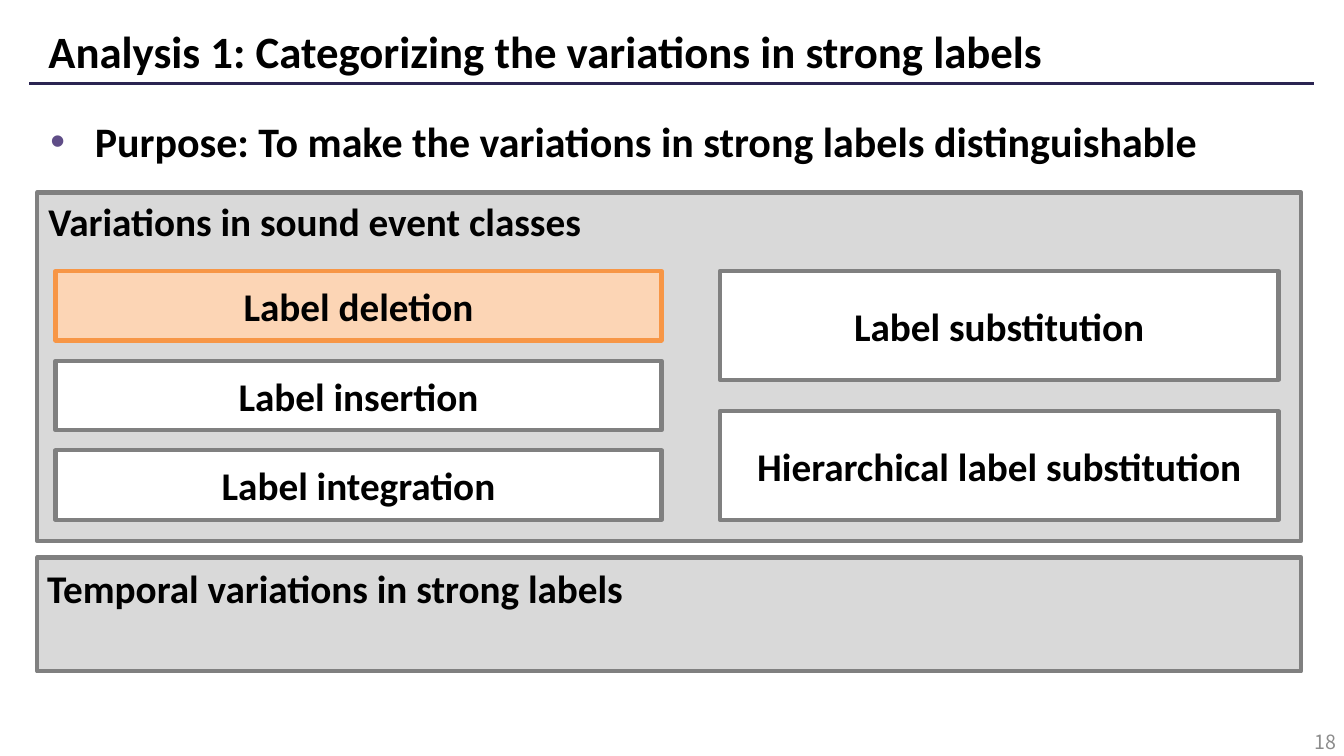
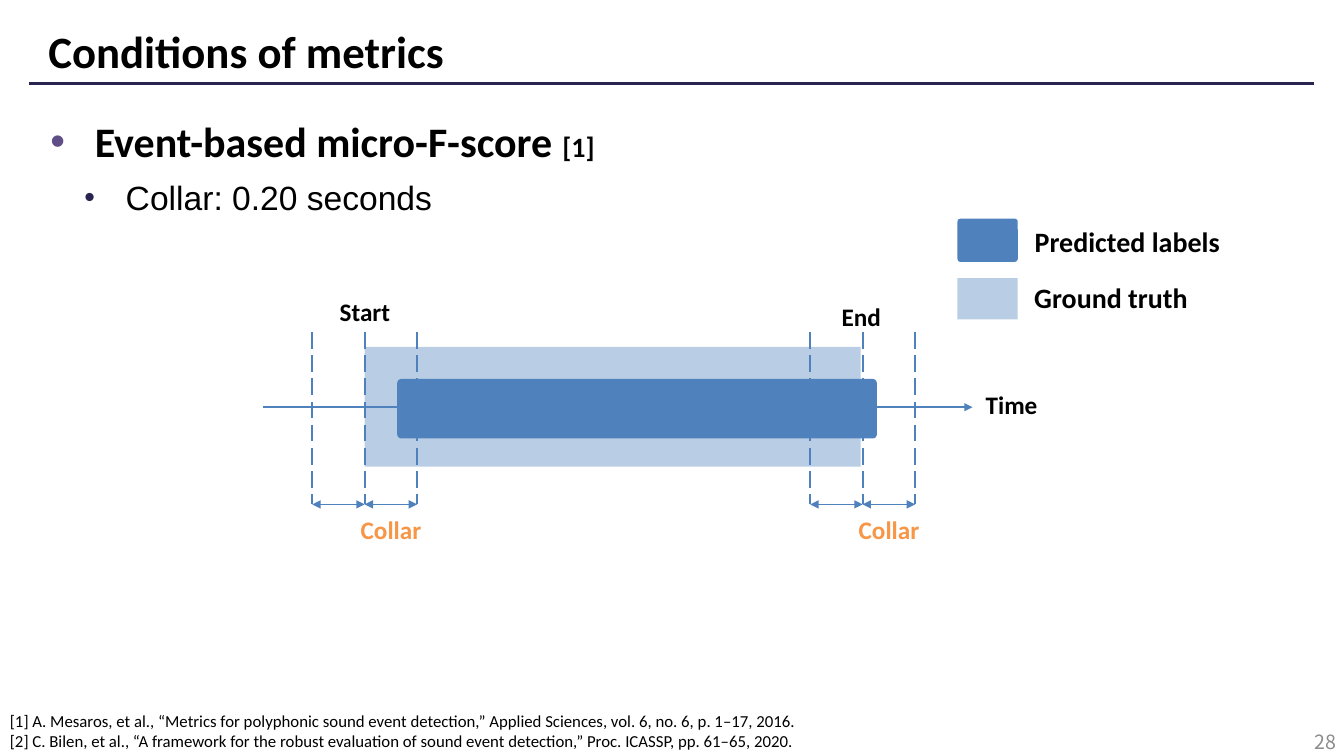
from dataclasses import dataclass
from typing import Optional

import pptx
import pptx.dml.color
import pptx.enum.dml
import pptx.enum.shapes
import pptx.enum.text
import pptx.oxml.ns
import pptx.util
from lxml import etree

Cm, Pt = pptx.util.Cm, pptx.util.Pt
MSO = pptx.enum.shapes.MSO_SHAPE
ALIGN = pptx.enum.text.PP_ALIGN
ANCHOR = pptx.enum.text.MSO_ANCHOR
qn = pptx.oxml.ns.qn

COLORS = {
    "black": "000000", "white": "FFFFFF", "rule": "2A2451", "number": "8C8C8C",
    "panel": "D9D9D9", "border": "808080", "peach": "FCD5B5", "orange": "F79646",
    "predicted": "4F81BD", "truth": "B9CDE5", "bullet": "5F4D87", "sub_bullet": "28244F",
}
FONT = "Calibri"
TITLE_INSETS = (0.25, 0.51, 0.25, 0)
TITLE_ONLY = 5


@dataclass
class Box:
    x: float
    y: float
    w: float
    h: float


@dataclass
class Run:
    text: str
    size: float
    bold: bool = True
    color: str = "black"
    font: str = FONT


@dataclass
class Bullet:
    margin: float
    hang: float
    color: str
    percent: int = 100


@dataclass
class Para:
    runs: list[Run]
    align: ALIGN = ALIGN.LEFT
    spacing: Optional[float] = None
    before: float = 0
    bullet: Optional[Bullet] = None


def rgb(name: str) -> pptx.dml.color.RGBColor:
    return pptx.dml.color.RGBColor.from_string(COLORS[name])


# Text
def add_bullet(p, bullet: Bullet) -> None:
    pPr = p._p.get_or_add_pPr()
    pPr.set("marL", str(Cm(bullet.margin)))
    pPr.set("indent", str(-Cm(bullet.hang)))
    clr = etree.SubElement(pPr, qn("a:buClr"))
    etree.SubElement(clr, qn("a:srgbClr"), val=COLORS[bullet.color])
    etree.SubElement(pPr, qn("a:buSzPct"), val=str(bullet.percent * 1000))
    etree.SubElement(pPr, qn("a:buFont"), typeface="Arial")
    etree.SubElement(pPr, qn("a:buChar"), char="•")


def write(tf, paras: list[Para], anchor=ANCHOR.TOP, wrap: bool = True,
          insets: Optional[tuple] = None) -> None:
    tf.auto_size = pptx.enum.text.MSO_AUTO_SIZE.NONE
    tf.word_wrap = wrap
    tf.vertical_anchor = anchor
    if insets:
        tf.margin_left, tf.margin_top, tf.margin_right, tf.margin_bottom = map(Cm, insets)
    for i, para in enumerate(paras):
        p = tf.add_paragraph() if i else tf.paragraphs[0]
        if para.bullet:
            add_bullet(p, para.bullet)
        p.alignment = para.align
        p.space_before = Pt(para.before)
        if para.spacing:
            p.line_spacing = para.spacing
        for run in para.runs:
            r = p.add_run()
            r.text = run.text
            r.font.name = run.font
            r.font.size = Pt(run.size)
            r.font.bold = run.bold
            r.font.color.rgb = rgb(run.color)


def add_text(s, box: Box, paras: list[Para], **layout) -> None:
    sp = s.shapes.add_textbox(Cm(box.x), Cm(box.y), Cm(box.w), Cm(box.h))
    write(sp.text_frame, paras, **layout)


# Shapes and lines
def add_block(s, box: Box, fill: str, border: Optional[str] = None, text: str = "",
              rounded: bool = False) -> None:
    kind = MSO.ROUNDED_RECTANGLE if rounded else MSO.RECTANGLE
    sp = s.shapes.add_shape(kind, Cm(box.x), Cm(box.y), Cm(box.w), Cm(box.h))
    sp.shadow.inherit = False
    if rounded:
        sp.adjustments[0] = 0.07
    sp.fill.solid()
    sp.fill.fore_color.rgb = rgb(fill)
    if border:
        sp.line.color.rgb = rgb(border)
        sp.line.width = Pt(3)
    else:
        sp.line.fill.background()
    if text:
        write(sp.text_frame, [Para([Run(text, 28)], ALIGN.CENTER)], ANCHOR.MIDDLE)


def add_line(s, x1: float, y1: float, x2: float, y2: float, color: str = "predicted",
             width: float = 1.5, dashed: bool = False, arrows: tuple = ()) -> None:
    sp = s.shapes.add_connector(pptx.enum.shapes.MSO_CONNECTOR.STRAIGHT,
                                Cm(x1), Cm(y1), Cm(x2), Cm(y2))
    sp.line.color.rgb = rgb(color)
    sp.line.width = Pt(width)
    if dashed:
        sp.line.dash_style = pptx.enum.dml.MSO_LINE.LONG_DASH
    for end in arrows:
        etree.SubElement(sp.line._get_or_add_ln(), qn(f"a:{end}"), type="triangle")
    etree.SubElement(sp._element.spPr, qn("a:effectLst"))


# Parts shared by the slides
def add_slide(prs, title: str, number: str):
    s = prs.slides.add_slide(prs.slide_layouts[TITLE_ONLY])
    sp = s.shapes.title
    sp.left, sp.top, sp.width, sp.height = Cm(0.97), Cm(0.1), Cm(29.21), Cm(2.03)
    write(sp.text_frame, [Para([Run(title, 32)], spacing=0.9)], ANCHOR.MIDDLE,
          insets=TITLE_INSETS)
    add_line(s, 0.74, 2.11, 33.12, 2.11, "rule", 2)
    add_text(s, Box(26.31, 18.19, 7.62, 1.02),
             [Para([Run(number, 14, False, "number", "Noto Sans CJK JP")], ALIGN.RIGHT)],
             anchor=ANCHOR.MIDDLE)
    return s


def add_body(s, heading: list[Run], detail: str = "") -> None:
    paras = [Para(heading, spacing=1.1, bullet=Bullet(1.12, 1.12, "bullet"))]
    if detail:
        paras.append(Para([Run(detail, 24, False, font="Arial")], spacing=1.1, before=5,
                          bullet=Bullet(1.9, 1.04, "sub_bullet", 90)))
    add_text(s, Box(1.02, 2.67, 31.5, 15.49), paras)


def build_variations(prs) -> None:
    s = add_slide(prs, "Analysis 1: Categorizing the variations in strong labels", "18")
    add_body(s, [Run("Purpose: To make the variations in strong labels distinguishable", 30)])

    # Panels with headings
    for heading, x, top, text_top, height in (
        ("Variations in sound event classes", 0.97, 4.85, 4.85, 8.79),
        ("Temporal variations in strong labels", 0.94, 14.05, 14.1, 2.87),
    ):
        add_block(s, Box(0.94, top, 31.85, height), "panel", "border")
        add_text(s, Box(x, text_top, 16, 1.45), [Para([Run(heading, 28)])])

    # Two columns of equal height
    top, bottom = 6.83, 13.1
    for x, width, height, labels in (
        (1.4, 15.27, 1.75, ("Label deletion", "Label insertion", "Label integration")),
        (18.14, 14.08, 2.74, ("Label substitution", "Hierarchical label substitution")),
    ):
        pitch = (bottom - top - height) / (len(labels) - 1)
        for i, label in enumerate(labels):
            marked = label == "Label deletion"
            add_block(s, Box(x, top + i * pitch, width, height),
                      "peach" if marked else "white",
                      "orange" if marked else "border", label)


def build_metrics(prs) -> None:
    s = add_slide(prs, "Conditions of metrics", "28")
    add_body(s, [Run("Event-based micro-F-score ", 30), Run("[1]", 20)],
             "Collar: 0.20 seconds")

    # Timeline
    start, end, collar = 9.19, 21.74, 1.32
    dash_top, dash_bottom = 8.37, 12.71
    add_block(s, Box(start, 8.74, 12.5, 3.02), "truth")
    add_line(s, 6.63, 10.26, 24.51, 10.26, arrows=("tailEnd",))
    add_block(s, Box(10.01, 9.55, 12.09, 1.5), "predicted", rounded=True)
    for edge in (start, end):
        for x in (edge - collar, edge, edge + collar):
            add_line(s, x, dash_top, x, dash_bottom, dashed=True)
        for x in (edge - collar, edge):
            add_line(s, x, dash_bottom, x + collar, dash_bottom, width=0.5,
                     arrows=("headEnd", "tailEnd"))

    # Timeline labels
    for label, x, y, width, color in (
        ("Start", 8.31, 7.34, 1.8, "black"),
        ("End", 20.96, 7.47, 1.5, "black"),
        ("Collar", 8.84, 12.83, 2.06, "orange"),
        ("Collar", 21.39, 12.83, 2.06, "orange"),
        ("Time", 24.59, 9.68, 1.83, "black"),
    ):
        add_text(s, Box(x, y, width, 1.02), [Para([Run(label, 18, color=color)])], wrap=False)

    # Legend
    for label, fill, y, height, text_x, text_y in (
        ("Predicted labels", "predicted", 5.51, 1.09, 25.45, 5.26),
        ("Ground truth", "truth", 7.01, 1.04, 25.04, 6.68),
    ):
        add_block(s, Box(24.13, y, 1.52, height), fill, rounded=fill == "predicted")
        add_text(s, Box(text_x, text_y, 5.92, 1.24),
                 [Para([Run(label, 20)], ALIGN.CENTER, 0.9)],
                 anchor=ANCHOR.MIDDLE, insets=TITLE_INSETS)

    # References
    references = (
        "[1] A. Mesaros, et al., “Metrics for polyphonic sound event detection,” "
        "Applied Sciences, vol. 6, no. 6, p. 1–17, 2016.",
        "[2] C. Bilen, et al., “A framework for the robust evaluation of sound event "
        "detection,” Proc. ICASSP, pp. 61–65, 2020.",
    )
    add_text(s, Box(0, 17.78, 31.83, 1.27),
             [Para([Run(reference, 12, False)]) for reference in references])


def main() -> None:
    prs = pptx.Presentation()
    prs.slide_width, prs.slide_height = Cm(33.87), Cm(19.05)
    build_variations(prs)
    build_metrics(prs)
    prs.save("out.pptx")


if __name__ == "__main__":
    main()
